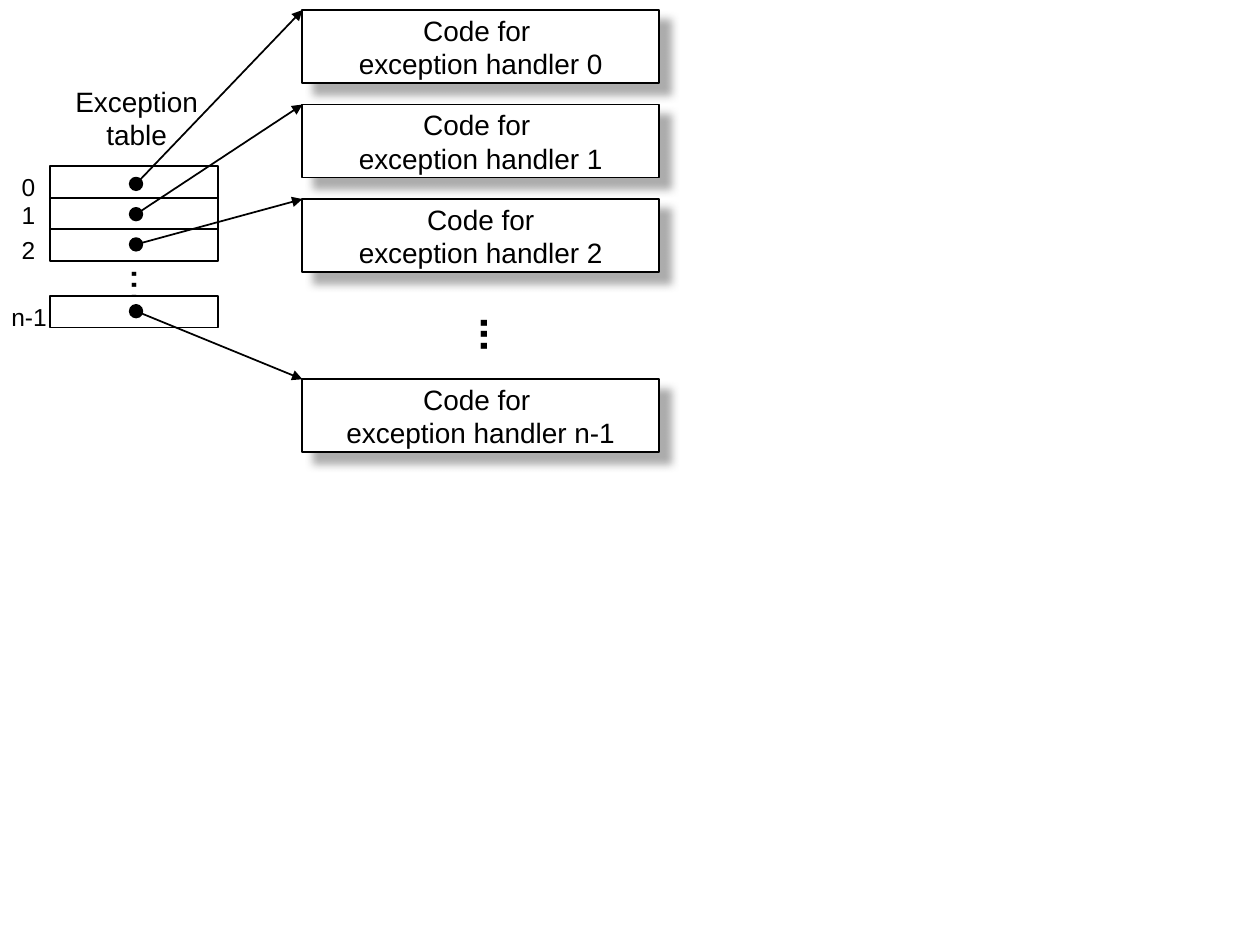
from dataclasses import dataclass

from lxml import etree
from pptx import Presentation
from pptx.dml.color import RGBColor
from pptx.enum import shapes, text
from pptx.oxml import parse_xml
from pptx.oxml.ns import nsdecls, qn
from pptx.util import Inches, Pt


@dataclass(frozen=True)
class Theme:
    font: str = "Arial"
    ink: RGBColor = RGBColor(0, 0, 0)
    paper: RGBColor = RGBColor(255, 255, 255)
    shadow: str = "919191"
    index: int = 14
    body: int = 16
    dots: int = 24
    line: int = 1


THEME = Theme()
SHADOW = f"""<a:effectLst {nsdecls('a')}>
  <a:outerShdw blurRad="{Pt(5)}" dist="{Pt(8.5)}" dir="2700000" algn="ctr" rotWithShape="0">
    <a:srgbClr val="{THEME.shadow}"><a:alpha val="75000"/></a:srgbClr>
  </a:outerShdw>
</a:effectLst>"""

ROW_LEFT, ROW_W, ROW_H = 0.4, 1.33, 0.25
HANDLER_LEFT, HANDLER_W, HANDLER_H = 2.4, 2.83, 0.58
DOT_X, DOT_SIZE = 1.08, 0.1

# index, row top, index label box (left, top, width), dot centre y, handler top, handler heading
ENTRIES = [
    ("0", 1.32, (0.07, 1.32, 0.31), 1.46, 0.08, "Code for "),
    ("1", 1.57, (0.07, 1.54, 0.31), 1.70, 0.83, "Code for "),
    ("2", 1.82, (0.07, 1.82, 0.31), 1.94, 1.58, "Code for"),
    ("n-1", 2.35, (-0.01, 2.35, 0.48), 2.47, 3.01, "Code for "),
]

prs = Presentation()
prs.slide_width, prs.slide_height = Inches(10), Inches(7.5)
s = prs.slides.add_slide(prs.slide_layouts[6])


def write(sp, lines, size, bold=False, anchor=text.MSO_ANCHOR.MIDDLE):
    tf = sp.text_frame
    tf.word_wrap = False
    tf.vertical_anchor = anchor
    for i, line in enumerate(lines):
        p = tf.add_paragraph() if i else tf.paragraphs[0]
        p.alignment = text.PP_ALIGN.CENTER
        r = p.add_run()
        r.text = line
        r.font.name, r.font.size, r.font.bold = THEME.font, Pt(size), bold
        r.font.color.rgb = THEME.ink


def add_outlined(kind, left, top, width, height, fill):
    sp = s.shapes.add_shape(kind, Inches(left), Inches(top), Inches(width), Inches(height))
    sp.shadow.inherit = False
    sp.fill.solid()
    sp.fill.fore_color.rgb = fill
    sp.line.color.rgb = THEME.ink
    sp.line.width = Pt(THEME.line)
    return sp


# Table heading
heading = s.shapes.add_textbox(Inches(0.5), Inches(0.62), Inches(1.17), Inches(0.63))
write(heading, ["Exception", "table"], THEME.body, anchor=text.MSO_ANCHOR.TOP)

# Vertical ellipses; the last table row covers the end of the first one
for left, top, bold in [(0.88, 2.03, False), (3.65, 2.42, True)]:
    dots = s.shapes.add_textbox(Inches(left), Inches(top), Inches(0.6), Inches(0.38))
    write(dots, ["..."], THEME.dots, bold)
    dots.text_frame._txBody.bodyPr.set("vert", "eaVert")

# Table rows with their handlers
for index, row_top, (left, top, width), dot_y, handler_top, title in ENTRIES:
    add_outlined(shapes.MSO_SHAPE.RECTANGLE, ROW_LEFT, row_top, ROW_W, ROW_H, THEME.paper)
    label = s.shapes.add_textbox(Inches(left), Inches(top), Inches(width), Inches(0.33))
    write(label, [index], THEME.index)

    handler = add_outlined(shapes.MSO_SHAPE.RECTANGLE, HANDLER_LEFT, handler_top,
                           HANDLER_W, HANDLER_H, THEME.paper)
    spPr = handler._element.spPr
    spPr.replace(spPr.find(qn("a:effectLst")), parse_xml(SHADOW))
    write(handler, [title, f"exception handler {index}"], THEME.body)

# Pointers from rows to handlers, above all rows
for _, _, _, dot_y, handler_top, _ in ENTRIES:
    arrow = s.shapes.add_connector(shapes.MSO_CONNECTOR.STRAIGHT, Inches(DOT_X), Inches(dot_y),
                                   Inches(HANDLER_LEFT), Inches(handler_top))
    arrow.line.color.rgb = THEME.ink
    arrow.line.width = Pt(THEME.line)
    etree.SubElement(arrow.line._get_or_add_ln(), qn("a:tailEnd"), type="triangle")
    etree.SubElement(arrow._element.spPr, qn("a:effectLst"))
    add_outlined(shapes.MSO_SHAPE.OVAL, DOT_X - DOT_SIZE / 2, dot_y - DOT_SIZE / 2,
                 DOT_SIZE, DOT_SIZE, THEME.ink)

prs.save("out.pptx")
